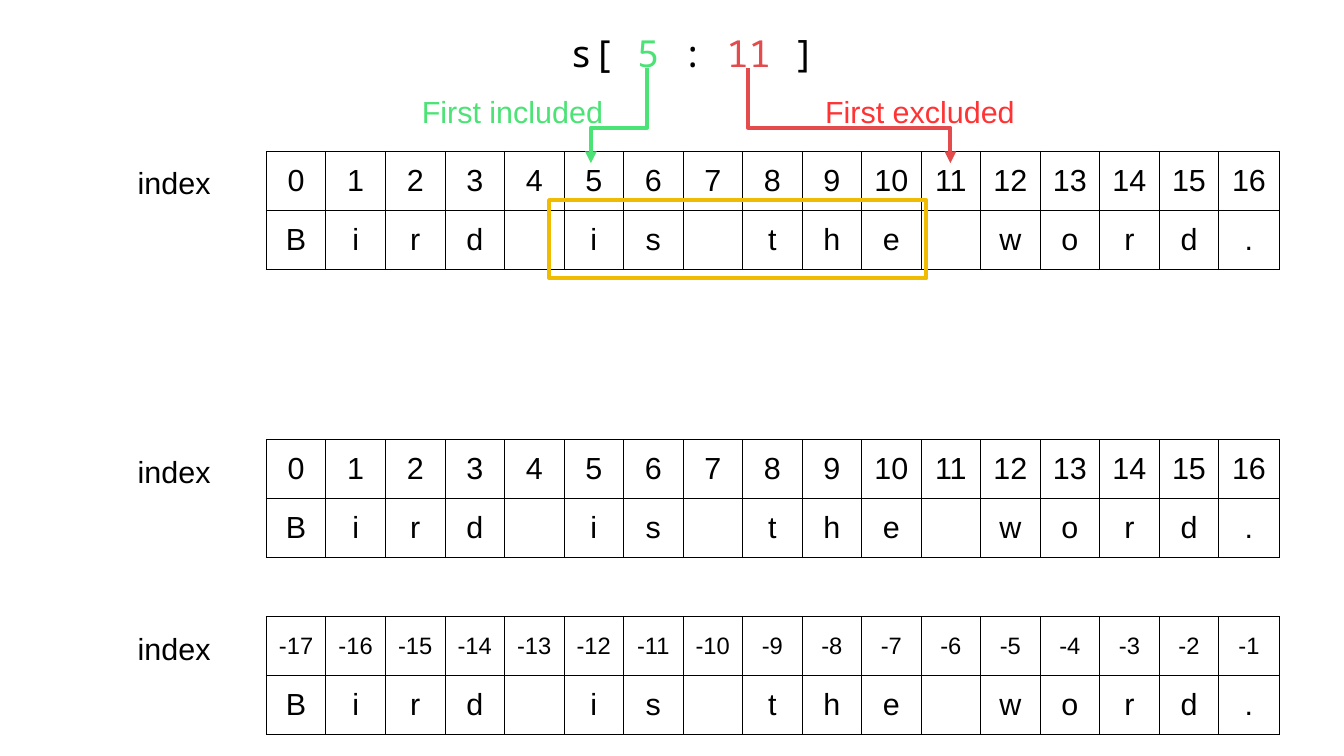
from lxml import etree
from pptx import Presentation
from pptx.dml.color import RGBColor
from pptx.enum import shapes, text
from pptx.oxml import parse_xml
from pptx.oxml.ns import nsdecls, qn
from pptx.util import Cm, Pt

BLACK = RGBColor(0x00, 0x00, 0x00)
GREEN = RGBColor(0x4B, 0xE3, 0x75)
RED = RGBColor(0xE3, 0x4B, 0x4C)
BRIGHT_RED = RGBColor(0xFF, 0x33, 0x33)
GOLD = RGBColor(0xF0, 0xBC, 0x01)

SENTENCE = "Bird is the word."
TABLE_LEFT = 5.55
COLUMN_WIDTH = 1.24
LAST_COLUMN_WIDTH = 1.26
ROW_HEIGHT = 1.23

presentation = Presentation()
presentation.slide_width = Cm(28)
presentation.slide_height = Cm(15.75)
slide = presentation.slides.add_slide(presentation.slide_layouts[6])


def add_label(left, top, width, height, runs, size=18, font="Arial"):
    """Add a one-line text box from (wording, colour) pairs."""
    box = slide.shapes.add_textbox(Cm(left), Cm(top), Cm(width), Cm(height))
    box.text_frame.word_wrap = False
    box.text_frame.auto_size = text.MSO_AUTO_SIZE.SHAPE_TO_FIT_TEXT
    paragraph = box.text_frame.paragraphs[0]
    paragraph.font.size = Pt(size)
    paragraph.font.name = font
    for wording, colour in runs:
        run = paragraph.add_run()
        run.text = wording
        run.font.color.rgb = colour


def format_cell(cell, wording, size):
    cell.text = wording
    cell.vertical_anchor = text.MSO_ANCHOR.MIDDLE
    paragraph = cell.text_frame.paragraphs[0]
    paragraph.alignment = text.PP_ALIGN.CENTER
    paragraph.font.size = Pt(size)
    paragraph.font.name = "Arial"
    paragraph.font.color.rgb = BLACK
    properties = cell._tc.get_or_add_tcPr()
    for side in ("lnL", "lnR", "lnT", "lnB"):
        properties.append(parse_xml(
            f'<a:{side} {nsdecls("a")} w="7200"><a:solidFill>'
            f'<a:srgbClr val="{BLACK}"/></a:solidFill></a:{side}>'))
    cell.fill.background()


# Index tables
count = len(SENTENCE)
for top, first_index, index_size in ((9.16, 0, 18), (12.85, -count, 14), (3.15, 0, 18)):
    table = slide.shapes.add_table(
        2, count, Cm(TABLE_LEFT), Cm(top),
        Cm(COLUMN_WIDTH * (count - 1) + LAST_COLUMN_WIDTH), Cm(2 * ROW_HEIGHT)).table
    table.first_row = False
    table.horz_banding = False
    for row in table.rows:
        row.height = Cm(ROW_HEIGHT)
    for position, letter in enumerate(SENTENCE):
        table.columns[position].width = Cm(COLUMN_WIDTH)
        format_cell(table.cell(0, position), str(first_index + position), index_size)
        format_cell(table.cell(1, position), letter.strip(), 18)
    table.columns[count - 1].width = Cm(LAST_COLUMN_WIDTH)
    add_label(2.62, top + 0.15, 2.03, 0.97, [("index", BLACK)])

# Slice expression and the selected letters
add_label(11.63, 0.5, 5.64, 1.15,
          [("s[ ", BLACK), ("5", GREEN), (" : ", BLACK), ("11", RED), (" ]", BLACK)],
          size=22, font="Noto Sans Mono")
selection = slide.shapes.add_shape(
    shapes.MSO_SHAPE.RECTANGLE, Cm(11.44), Cm(4.17), Cm(7.86), Cm(1.63))
selection.shadow.inherit = False
selection.fill.background()
selection.line.color.rgb = GOLD
selection.line.width = Pt(2.3)

# Elbow arrows run down, across and down: a quarter turn of the standard elbow
ARROW_TOP, ARROW_BOTTOM = 1.42, 3.4
for start, end, colour in ((13.48, 12.31, GREEN), (15.58, 19.8, RED)):
    middle_x, middle_y = (start + end) / 2, (ARROW_TOP + ARROW_BOTTOM) / 2
    half_length = (ARROW_BOTTOM - ARROW_TOP) / 2
    half_span = abs(end - start) / 2
    turn = 90
    if end > start:
        turn, half_length = 270, -half_length
    arrow = slide.shapes.add_connector(
        shapes.MSO_CONNECTOR.ELBOW,
        Cm(middle_x - half_length), Cm(middle_y - half_span),
        Cm(middle_x + half_length), Cm(middle_y + half_span))
    arrow.line.color.rgb = colour
    arrow.line.width = Pt(2.3)
    properties = arrow._element.spPr
    properties.find(qn("a:xfrm")).set("rot", str(turn * 60000))
    adjustments = properties.find(qn("a:prstGeom")).find(qn("a:avLst"))
    etree.SubElement(adjustments, qn("a:gd"), name="adj1", fmla="val 62600")
    etree.SubElement(properties.find(qn("a:ln")), qn("a:tailEnd"), type="triangle")
    etree.SubElement(properties, qn("a:effectLst"))

add_label(8.54, 1.81, 4.4, 0.97, [("First included", GREEN)])
add_label(16.94, 1.81, 4.6, 0.97, [("First excluded", BRIGHT_RED)])

presentation.save("out.pptx")
